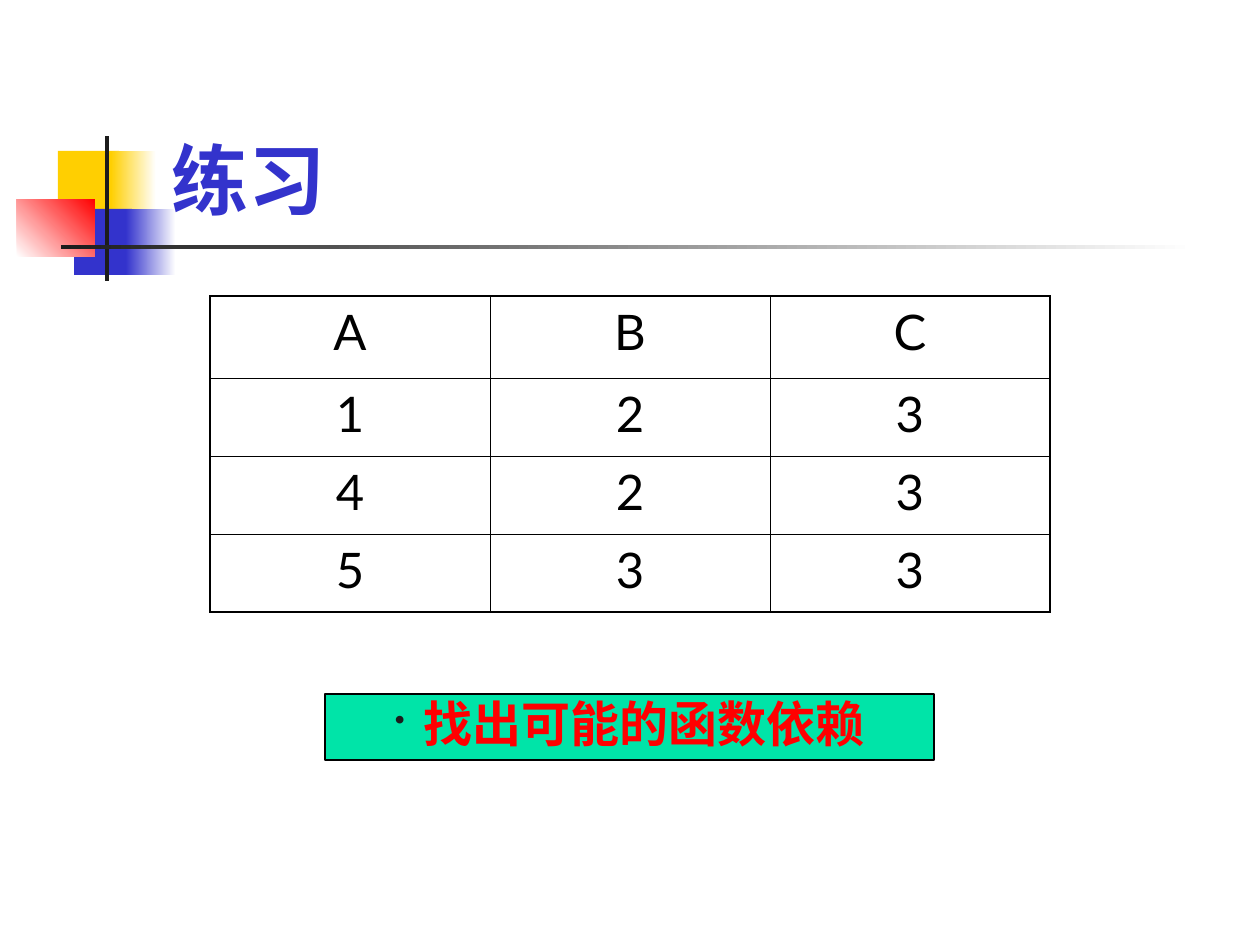
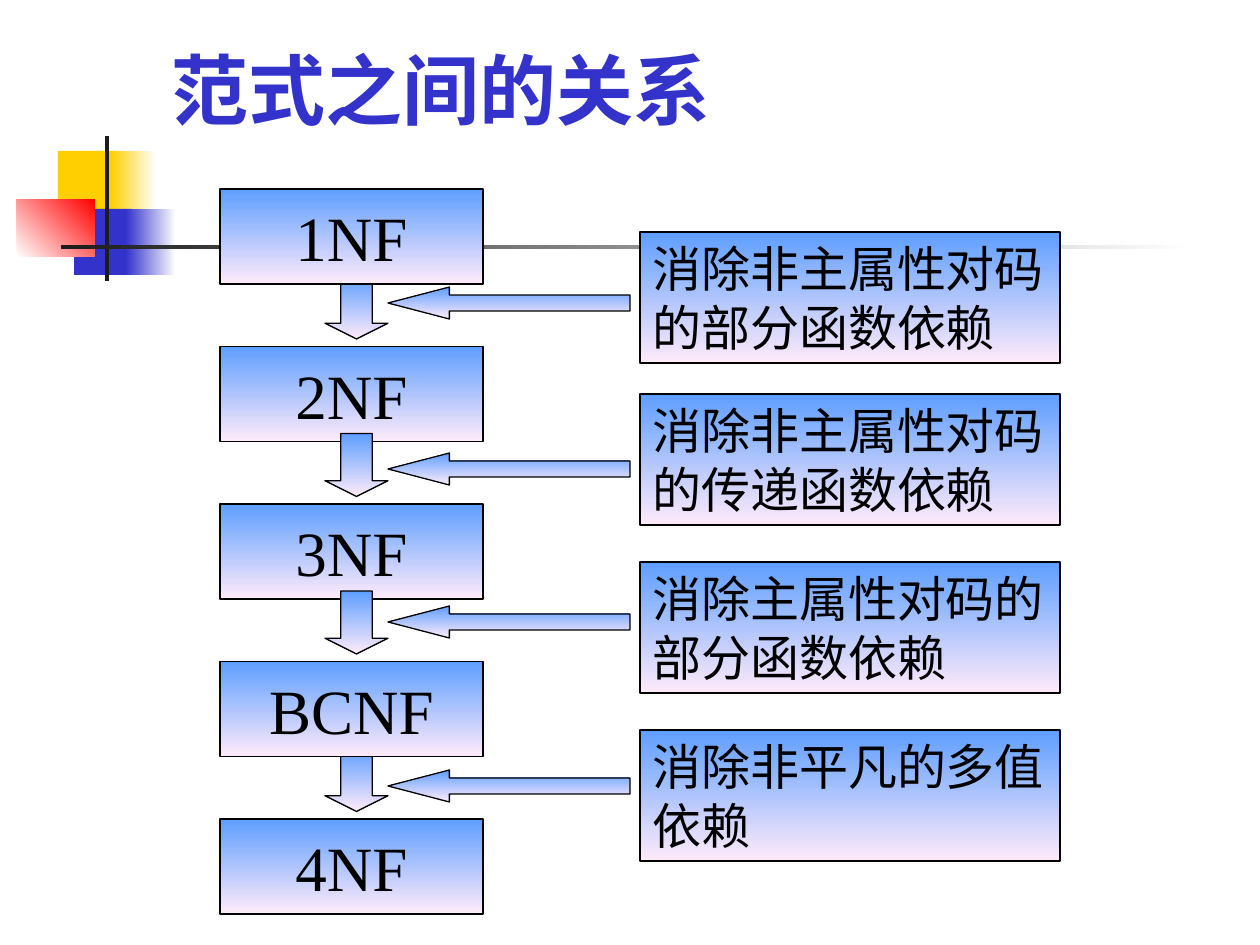
from lxml import etree
from pptx import Presentation
from pptx import util as u
from pptx.dml.color import RGBColor
from pptx.enum import shapes, text
from pptx.oxml import ns

PX = 914400 / 126  # EMU in one px

BLACK = RGBColor(0x00, 0x00, 0x00)
WHITE = RGBColor(0xFF, 0xFF, 0xFF)
INK = RGBColor(0x1C, 0x1C, 0x1C)
YELLOW = RGBColor(0xFF, 0xCF, 0x01)
BLUE = RGBColor(0x33, 0x33, 0xCC)
RED = RGBColor(0xFF, 0x00, 0x00)
GREEN = RGBColor(0x00, 0xE4, 0xA8)
SKY = RGBColor(0x5E, 0x9E, 0xFF)
PINK = RGBColor(0xFF, 0xEB, 0xFA)

TITLE = {"name": "Lato", "size": u.Pt(44), "bold": True, "color": BLUE}
CELL = {"name": "Lato", "size": u.Pt(28), "color": BLACK}
TASK = {"name": "Times New Roman", "size": u.Pt(28), "bold": True, "color": RED}
FORM = {"name": "Times New Roman", "size": u.Pt(36), "color": BLACK}
NOTE = {"name": "Times New Roman", "size": u.Pt(28), "color": BLACK}

RECT = shapes.MSO_SHAPE.RECTANGLE
LEFT, CENTER = text.PP_ALIGN.LEFT, text.PP_ALIGN.CENTER
TOP, MIDDLE, BOTTOM = (text.MSO_ANCHOR.TOP, text.MSO_ANCHOR.MIDDLE,
                       text.MSO_ANCHOR.BOTTOM)


def emu(*lengths):
    return [u.Emu(round(length * PX)) for length in lengths]


def write(frame, words, style, align=LEFT, anchor=TOP, wrap=True):
    """Put one styled paragraph into a text frame."""
    frame.word_wrap = wrap
    frame.vertical_anchor = anchor
    para = frame.paragraphs[0]
    para.alignment = align
    span = para.add_run()
    span.text = words
    for key, value in style.items():
        if key == "color":
            span.font.color.rgb = value
        else:
            setattr(span.font, key, value)
    return para


def add_block(page, kind, box, colors, angle=0, outline=None):
    """Add a shape with a plain fill (one colour) or a gradient (two)."""
    block = page.shapes.add_shape(kind, *emu(*box))
    block.shadow.inherit = False
    if len(colors) == 1:
        block.fill.solid()
        block.fill.fore_color.rgb = colors[0]
    else:
        block.fill.gradient()
        block.fill.gradient_angle = angle
        for stop, color in zip(block.fill.gradient_stops, colors):
            stop.color.rgb = color
    if outline is None:
        block.line.fill.background()
    else:
        block.line.color.rgb = outline
        block.line.width = u.Pt(0.75)
    return block


def add_sky_block(page, kind, box):
    return add_block(page, kind, box, (SKY, PINK), 270, BLACK)


def add_emblem(page, box):
    """Coloured squares with a crossed pair of bars."""
    left, top = box
    for x, y, width, height, colors, angle in (
        (41, 15, 61, 65, (YELLOW,), 0),
        (94, 15, 45, 65, (YELLOW, WHITE), 0),
        (57, 73, 58, 66, (BLUE,), 0),
        (109, 73, 50, 66, (BLUE, WHITE), 0),
        (0, 63, 78, 58, (WHITE, RED), 45),
        (88, 0, 4, 145, (INK,), 0),
        (44, 109, 1134, 4, (INK, WHITE), 0),
    ):
        add_block(page, RECT, (left + x, top + y, width, height), colors, angle)


def add_page(deck, title, title_box):
    page = deck.slides.add_slide(deck.slide_layouts[6])
    add_emblem(page, (17, 136))
    frame = page.shapes.add_textbox(*emu(*title_box)).text_frame
    write(frame, title, TITLE, anchor=BOTTOM)
    return page


def set_borders(cell, widths):
    """Draw black cell borders; widths are points per side."""
    props = cell._tc.get_or_add_tcPr()
    for place, (side, width) in enumerate(widths.items()):
        line = etree.Element(ns.qn(f"a:ln{side}"), w=str(u.Pt(width)))
        fill = etree.SubElement(line, ns.qn("a:solidFill"))
        etree.SubElement(fill, ns.qn("a:srgbClr"), val=str(BLACK))
        props.insert(place, line)


def add_relation(page, box, rows):
    """Table of sample tuples."""
    last_row, last_col = len(rows) - 1, len(rows[0]) - 1
    table = page.shapes.add_table(len(rows), len(rows[0]), *emu(*box)).table
    table.first_row = table.horz_banding = False
    heights = emu(82, *[78] * last_row)
    for row, height in zip(table.rows, heights):
        row.height = height
    thin, thick = 0.45, 1.08
    for r, values in enumerate(rows):
        for c, value in enumerate(values):
            cell = table.cell(r, c)
            cell.fill.background()
            write(cell.text_frame, value, CELL, CENTER)
            set_borders(cell, {
                "L": thin if c else thick,
                "R": thick if c == last_col else thin,
                "T": thin if r else thick,
                "B": thick if r == last_row else thin,
            })


def add_task(page, box, words):
    """Green banner with one bulleted line."""
    banner = add_block(page, RECT, box, (GREEN,), outline=BLACK)
    para = write(banner.text_frame, words, TASK, CENTER)
    para.line_spacing = 0.9
    props = para._p.get_or_add_pPr()
    hang = emu(29)[0]
    props.set("marL", str(hang))
    props.set("indent", str(-hang))
    color = etree.SubElement(props, ns.qn("a:buClr"))
    etree.SubElement(color, ns.qn("a:srgbClr"), val=str(INK))
    etree.SubElement(props, ns.qn("a:buSzPct"), val="60000")
    etree.SubElement(props, ns.qn("a:buChar"), char="•")


def add_normal_forms(page, box, names):
    """Column of normal forms with a down arrow between each pair."""
    left, top, width, height = box
    step = 315 / 2

    def add_down_arrow(i):
        arrow_box = (left + 105, top + 87 + i * step, 63, 63)
        add_sky_block(page, shapes.MSO_SHAPE.DOWN_ARROW, arrow_box).adjustments[1] = 0.25

    # The outer arrows start behind their boxes, the inner ones in front
    for i in (0, 3):
        add_down_arrow(i)
    for i, name in enumerate(names):
        form = add_sky_block(page, RECT, (left, top + i * step, width, height))
        write(form.text_frame, name, FORM, CENTER, MIDDLE, wrap=False)
    for i in (1, 2):
        add_down_arrow(i)


def add_rules(page, box, rules):
    """Explanations, each with an arrow pointing left at its step."""
    left, top, width, height = box
    for note_y, arrow_y, words in rules:
        note = add_sky_block(page, RECT, (left, top + note_y, width, height))
        write(note.text_frame, words, NOTE, anchor=MIDDLE)
        arrow = add_sky_block(page, shapes.MSO_SHAPE.LEFT_ARROW,
                              (left - 252, top + arrow_y, 242, 32))
        arrow.adjustments[1] = 1.92


def build_exercise(deck):
    page = add_page(deck, "练习", (159, 29, 1074, 202))
    add_relation(page, (210, 296, 840, 316), ("ABC", "123", "423", "533"))
    add_task(page, (325, 694, 609, 66), "找出可能的函数依赖")


def build_form_chain(deck):
    page = add_page(deck, "范式之间的关系", (159, 35, 1074, 106))
    add_normal_forms(page, (220, 189, 263, 95), ("1NF", "2NF", "3NF", "BCNF", "4NF"))
    add_rules(page, (640, 232, 420, 131), (
        (0, 55, "消除非主属性对码的部分函数依赖"),
        (162, 221, "消除非主属性对码的传递函数依赖"),
        (330, 374, "消除主属性对码的部分函数依赖"),
        (498, 538, "消除非平凡的多值依赖"),
    ))


def main():
    deck = Presentation()
    deck.slide_width, deck.slide_height = emu(1260, 945)
    build_exercise(deck)
    build_form_chain(deck)
    deck.save("out.pptx")


if __name__ == "__main__":
    main()
